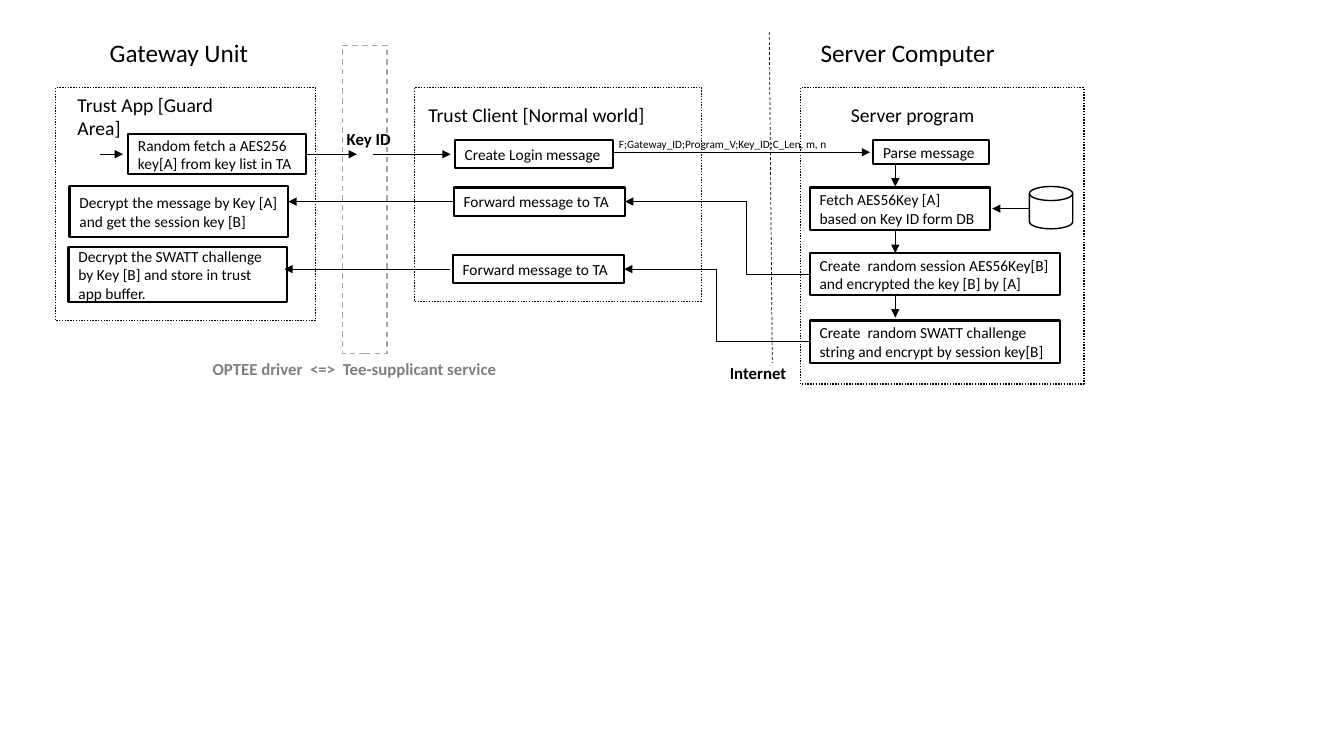
from lxml import etree
from pptx import Presentation
from pptx.dml.color import RGBColor
from pptx.enum.dml import MSO_LINE_DASH_STYLE as Dash
from pptx.enum.shapes import MSO_CONNECTOR as Connector, MSO_SHAPE as Shape
from pptx.enum.text import MSO_ANCHOR as Anchor, MSO_AUTO_SIZE as AutoSize, PP_ALIGN as Align
from pptx.oxml.ns import qn
from pptx.util import Inches, Pt

BLACK = RGBColor(0, 0, 0)
WHITE = RGBColor(255, 255, 255)
GREY = RGBColor(128, 128, 128)
LIGHT_GREY = RGBColor(166, 166, 166)
FONT = "Calibri"
LEFT, RIGHT = 1, 3

# Shared lines of the grid, in cells
FLOW_ROW = 15.3
SERVER_COLUMN = 80.3
DOWN_COLUMN = 88.8


def grid(*cells):
    """Turn grid columns or rows, ten to the inch, into lengths."""
    return [Inches(cell / 10) for cell in cells]


def write(frame, text, size, color=BLACK, bold=False):
    paragraph = frame.paragraphs[0]
    paragraph.alignment = Align.LEFT
    run = paragraph.add_run()
    run.text = text
    run.font.name = FONT
    run.font.size = Pt(size)
    run.font.bold = bold
    run.font.color.rgb = color


def add_label(slide, text, at, size, color=BLACK, bold=False, wrap=True):
    frame = slide.shapes.add_textbox(*grid(*at)).text_frame
    frame.word_wrap = wrap
    frame.auto_size = AutoSize.SHAPE_TO_FIT_TEXT
    write(frame, text, size, color, bold)


def add_outline(slide, at, kind=Shape.RECTANGLE, color=BLACK, width=1, dash=None):
    """Add a white shape with a plain or dashed edge."""
    shape = slide.shapes.add_shape(kind, *grid(*at))
    shape.shadow.inherit = False
    shape.fill.solid()
    shape.fill.fore_color.rgb = WHITE
    shape.line.color.rgb = color
    shape.line.width = Pt(width)
    if dash:
        shape.line.dash_style = dash
    return shape


def add_step(slide, text, at):
    shape = add_outline(slide, at, width=1.5)
    frame = shape.text_frame
    frame.word_wrap = True
    frame.vertical_anchor = Anchor.MIDDLE
    write(frame, text, 11)
    return shape


def add_line(slide, start, end, kind=Connector.STRAIGHT):
    line = slide.shapes.add_connector(kind, *grid(*start, *end))
    line.line.color.rgb = BLACK
    line.line.width = Pt(0.5)
    etree.SubElement(line._element.spPr, qn("a:effectLst"))
    return line


def add_arrow(slide, start, end, kind=Connector.STRAIGHT):
    arrow = add_line(slide, start, end, kind)
    etree.SubElement(arrow.line._get_or_add_ln(), qn("a:tailEnd"), type="triangle")
    return arrow


def add_elbow_arrow(slide, start, end, bend):
    """Add an arrow that turns at the given share of its width."""
    arrow = add_arrow(slide, start, end, Connector.ELBOW)
    geometry = arrow._element.spPr.find(qn("a:prstGeom"))
    values = geometry.find(qn("a:avLst"))
    if values is None:
        values = etree.SubElement(geometry, qn("a:avLst"))
    etree.SubElement(values, qn("a:gd"), name="adj1", fmla=f"val {round(bend * 100000)}")


def add_zones(slide):
    add_outline(slide, (34, 4.5, 4.4, 30.6), color=LIGHT_GREY, dash=Dash.DASH)
    for left, width, height in ((5.5, 25.8, 23.1), (41.1, 28.5, 21.2), (79.4, 28.1, 29.4)):
        add_outline(slide, (left, 8.7, width, height), dash=Dash.ROUND_DOT)
    add_line(slide, (76.3, 3.2), (76.6, 36)).line.dash_style = Dash.DASH


def add_labels(slide):
    add_label(slide, "Gateway Unit", (9.9, 3.2, 17.4, 4), 18)
    add_label(slide, "Server Computer", (80.4, 3.2, 20.5, 4), 18)
    add_label(slide, "Trust App [Guard Area]", (6.7, 8.7, 19.8, 3.4), 14)
    add_label(slide, "Trust Client [Normal world]", (41.5, 9.7, 23.6, 3.4), 14)
    add_label(slide, "Server program", (83.4, 9.7, 23.6, 3.4), 14)
    add_label(slide, "Internet", (71.4, 35.5, 8, 3), 12, bold=True)
    add_label(slide, "Key ID", (33.4, 12.3, 6.6, 3), 12, bold=True)
    add_label(slide, "OPTEE driver  <=>  Tee-supplicant service",
              (20.1, 35.1, 35.2, 3), 12, GREY, bold=True)
    add_label(slide, "F;Gateway_ID;Program_V;Key_ID;C_Len, m, n",
              (60.4, 13.1, 22.9, 2.4), 8, wrap=False)


def add_login_flow(slide):
    fetch = add_step(slide, "Random fetch a AES256 key[A] from key list in TA",
                     (12.7, 13.3, 17.7, 4))
    add_step(slide, "Create Login message", (45.1, 13.9, 15.7, 2.8))
    add_step(slide, "Parse message", (86.6, 13.9, 11.5, 2.4))
    add_arrow(slide, (9.9, FLOW_ROW), (12.2, FLOW_ROW))
    add_arrow(slide, (30.4, FLOW_ROW), (35.4, FLOW_ROW)).begin_connect(fetch, RIGHT)
    add_arrow(slide, (37, FLOW_ROW), (44.7, FLOW_ROW))
    add_arrow(slide, (60.7, 15.1), (86.3, 15.1))


def add_server_steps(slide):
    for text, top, width in (
        ("Fetch AES56Key [A] based on Key ID form DB", 18.6, 17.9),
        ("Create  random session AES56Key[B] and encrypted the key [B] by [A]", 25.1, 24.8),
        ("Create  random SWATT challenge string and encrypt by session key[B]", 31.8, 24.8),
    ):
        add_step(slide, text, (SERVER_COLUMN, top, width, 4.2))
    for top in (16.3, 22.9, 29.3):
        add_arrow(slide, (DOWN_COLUMN, top), (DOWN_COLUMN, top + 2.2))
    add_outline(slide, (102.1, 18.5, 4.3, 4.2), Shape.FLOWCHART_MAGNETIC_DISK)
    add_arrow(slide, (102.1, 20.7), (98.4, 20.7))


def add_forward(slide, left, row, bend):
    """Add a forwarding step and the server's arrow into it."""
    forward = add_step(slide, "Forward message to TA", (left, row - 1.4, 17, 2.8))
    add_elbow_arrow(slide, (SERVER_COLUMN, row + 7.2), (left + 17, row), bend)
    return forward


def add_replies(slide):
    add_step(slide, "Decrypt the message by Key [A] and get the session key [B]",
             (6.9, 18.5, 21.7, 5))
    add_step(slide, "Decrypt the SWATT challenge by Key [B] and store in trust app buffer.",
             (6.8, 24.5, 21.7, 5.5))
    key_forward = add_forward(slide, 45, 20, 0.34)
    add_arrow(slide, (45, 20), (28.6, 20)).begin_connect(key_forward, LEFT)
    add_forward(slide, 44.9, 26.7, 0.5)
    add_arrow(slide, (44.6, 26.7), (28.2, 26.7))


def main():
    presentation = Presentation()
    presentation.slide_width = Inches(13.33)
    presentation.slide_height = Inches(7.5)
    slide = presentation.slides.add_slide(presentation.slide_layouts[6])
    add_zones(slide)
    add_labels(slide)
    add_login_flow(slide)
    add_server_steps(slide)
    add_replies(slide)
    presentation.save("out.pptx")


if __name__ == "__main__":
    main()
